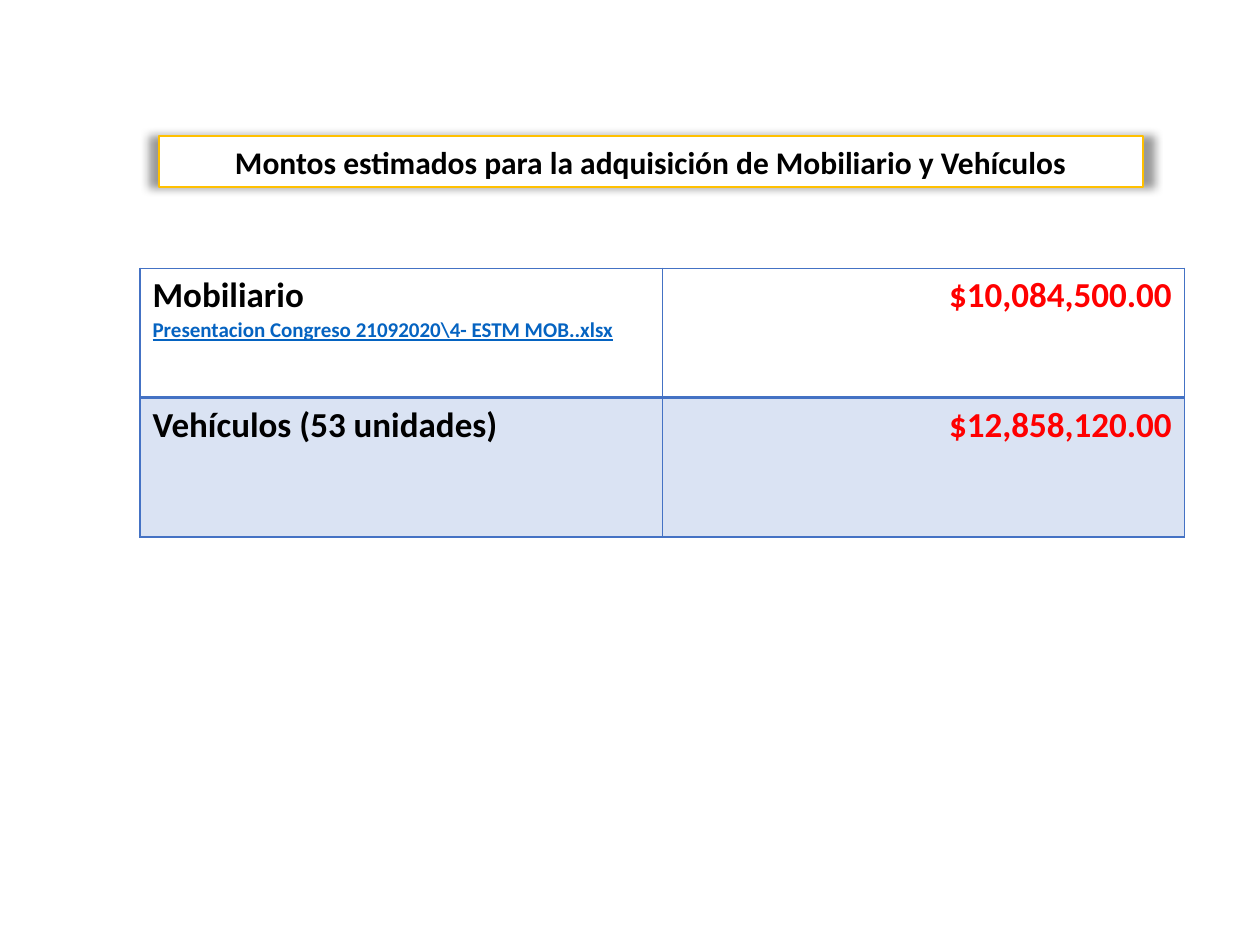
"""Build a slide with the estimated amounts for furniture and vehicles."""
import lxml.etree
import pptx
import pptx.dml.color
import pptx.enum.shapes
import pptx.enum.text
import pptx.oxml
import pptx.oxml.ns
import pptx.util

Pt = pptx.util.Pt
ALIGN = pptx.enum.text.PP_ALIGN

HEADING = "Montos estimados para la adquisición de Mobiliario y Vehículos"
AMOUNTS = [
    {"item": "Mobiliario", "file": r"Presentacion Congreso 21092020\4- ESTM MOB..xlsx",
     "amount": "$10,084,500.00", "height": 74, "fill": "white", "bottom": 2},
    {"item": "Vehículos (53 unidades)", "file": None,
     "amount": "$12,858,120.00", "height": 79.5, "fill": "band", "bottom": 1},
]
COLORS = {"white": "FFFFFF", "black": "000000", "gold": "FFC000", "blue": "4472C4",
          "band": "DAE3F3", "file": "0563C1", "amount": "FF0000"}
FONT = "Calibri"
COLUMN_WIDTH = 298.5


def rgb(name):
    return pptx.dml.color.RGBColor.from_string(COLORS[name])


def add_text(paragraph, text, size, color, align=ALIGN.LEFT, underline=False):
    paragraph.alignment = align
    run = paragraph.add_run()
    run.text = text
    font = run.font
    font.name, font.size, font.bold = FONT, Pt(size), True
    font.underline = underline
    font.color.rgb = rgb(color)


def add_shadow(shape):
    effects = shape._element.spPr.find(pptx.oxml.ns.qn("a:effectLst"))
    effects.append(pptx.oxml.parse_xml(
        f'<a:outerShdw {pptx.oxml.ns.nsdecls("a")} blurRad="{Pt(5)}" sx="102000" '
        f'sy="102000" algn="ctr" rotWithShape="0"><a:srgbClr val="{COLORS["black"]}">'
        '<a:alpha val="40000"/></a:srgbClr></a:outerShdw>'))


def add_heading(slide):
    heading = slide.shapes.add_shape(pptx.enum.shapes.MSO_SHAPE.RECTANGLE,
                                     Pt(90.7), Pt(77.8), Pt(562.3), Pt(29))
    heading.fill.solid()
    heading.fill.fore_color.rgb = rgb("white")
    heading.line.color.rgb = rgb("gold")
    heading.line.width = Pt(1)
    heading.shadow.inherit = False
    add_shadow(heading)
    heading.text_frame.word_wrap = True
    add_text(heading.text_frame.paragraphs[0], HEADING, 18, "black", ALIGN.CENTER)


def style_cell(cell, fill, top, bottom):
    cell.fill.solid()
    cell.fill.fore_color.rgb = rgb(fill)
    properties = cell._tc.get_or_add_tcPr()
    for position, (side, width) in enumerate(zip("LRTB", (1, 1, top, bottom))):
        properties.insert(position, pptx.oxml.parse_xml(
            f'<a:ln{side} {pptx.oxml.ns.nsdecls("a")} w="{Pt(width)}"><a:solidFill>'
            f'<a:srgbClr val="{COLORS["blue"]}"/></a:solidFill></a:ln{side}>'))


def add_amounts(slide):
    height = sum(entry["height"] for entry in AMOUNTS)
    table = slide.shapes.add_table(len(AMOUNTS), 2, Pt(80), Pt(153.3),
                                   Pt(2 * COLUMN_WIDTH), Pt(height)).table
    table.first_row = table.horz_banding = False
    for column in table.columns:
        column.width = Pt(COLUMN_WIDTH)
    top = 1
    for row, entry in zip(table.rows, AMOUNTS):
        row.height = Pt(entry["height"])
        item, amount = row.cells
        add_text(item.text_frame.paragraphs[0], entry["item"], 20, "black")
        if entry["file"]:
            add_text(item.text_frame.add_paragraph(), entry["file"], 12, "file",
                     underline=True)
        add_text(amount.text_frame.paragraphs[0], entry["amount"], 20, "amount",
                 ALIGN.RIGHT)
        for cell in (item, amount):
            style_cell(cell, entry["fill"], top, entry["bottom"])
        top = entry["bottom"]


def main():
    deck = pptx.Presentation()
    deck.slide_width, deck.slide_height = Pt(720), Pt(540)
    slide = deck.slides.add_slide(deck.slide_layouts[6])
    add_heading(slide)
    add_amounts(slide)
    deck.save("out.pptx")


if __name__ == "__main__":
    main()
